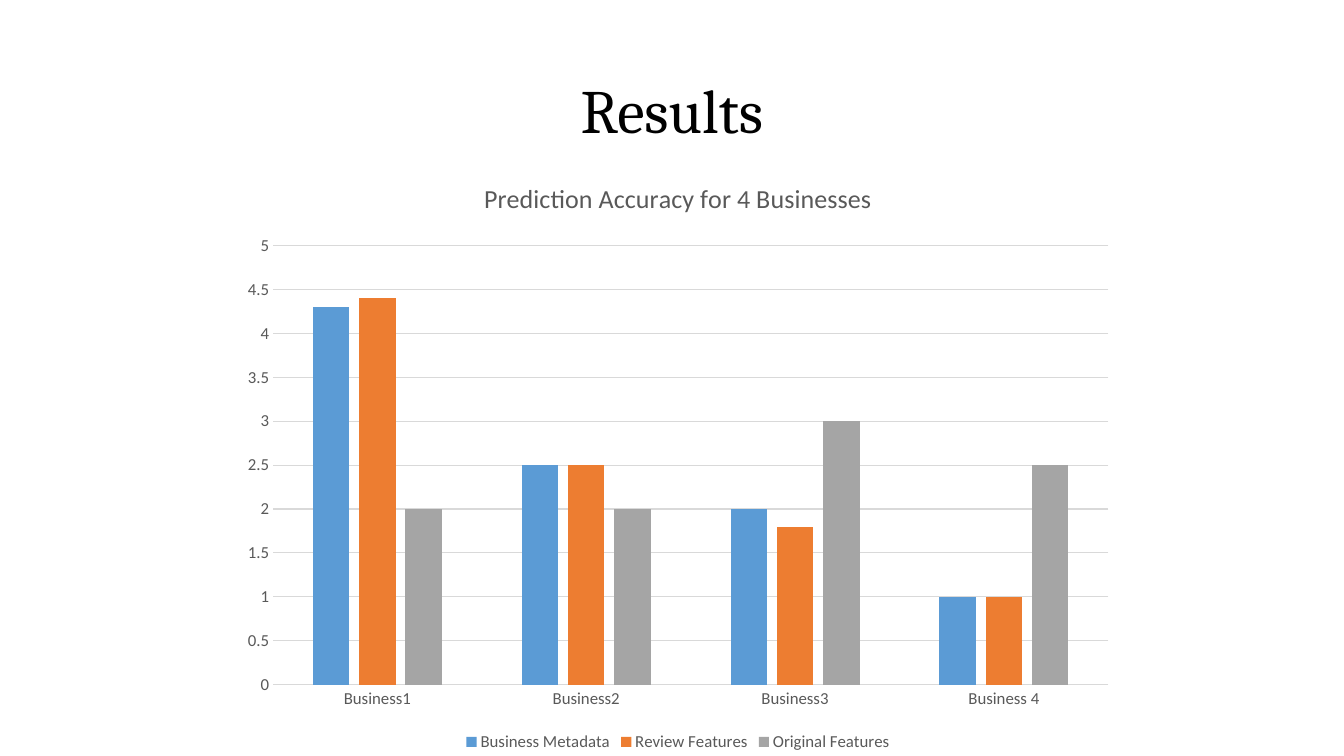
import pptx
import pptx.chart.data
import pptx.dml.color
import pptx.enum.chart
import pptx.enum.text
import pptx.util

# Theme
theme = {
    "title_font": "Cambria", "chart_font": "Calibri",
    "title_size": 44, "chart_title_size": 18.6, "label_size": 12,
    "title": "000000", "label": "595959", "line": "D9D9D9",
    "series": ["5B9BD5", "ED7D31", "A5A5A5"],
}


def style_font(font, name, size, color):
    font.name = name
    font.size = pptx.util.Pt(size)
    font.bold = False
    font.color.rgb = pptx.dml.color.RGBColor.from_string(color)


def style_line(line):
    line.color.rgb = pptx.dml.color.RGBColor.from_string(theme["line"])
    line.width = pptx.util.Pt(0.75)


# Blank page
deck = pptx.Presentation()
deck.slide_width = pptx.util.Inches(13.33)
deck.slide_height = pptx.util.Inches(7.5)
page = deck.slides.add_slide(deck.slide_layouts[6])
width, height = deck.slide_width, deck.slide_height

# Slide title
margin = int(width * 0.069)
box = page.shapes.add_textbox(margin, int(height * 0.053),
                              width - 2 * margin, int(height * 0.193))
frame = box.text_frame
frame.word_wrap = True
frame.vertical_anchor = pptx.enum.text.MSO_ANCHOR.MIDDLE
para = frame.paragraphs[0]
para.text = "Results"
para.alignment = pptx.enum.text.PP_ALIGN.CENTER
para.line_spacing = 0.9
style_font(para.font, theme["title_font"], theme["title_size"], theme["title"])

# Chart values
accuracy = pptx.chart.data.CategoryChartData()
accuracy.categories = ["Business1", "Business2", "Business3", "Business 4"]
accuracy.add_series("Business Metadata", [4.3, 2.5, 2, 1])
accuracy.add_series("Review Features", [4.4, 2.5, 1.8, 1])
accuracy.add_series("Original Features", [2, 2, 3, 2.5])

# Column chart, reaching the bottom edge
chart_top = int(height * 0.209)
chart = page.shapes.add_chart(
    pptx.enum.chart.XL_CHART_TYPE.COLUMN_CLUSTERED,
    int(width * 0.171), chart_top, int(width * 0.667), height - chart_top,
    accuracy).chart
style_font(chart.font, theme["chart_font"], theme["label_size"], theme["label"])

# Chart title
chart.has_title = True
heading = chart.chart_title.text_frame.paragraphs[0]
heading.text = "Prediction Accuracy for 4 Businesses"
style_font(heading.font, theme["chart_font"], theme["chart_title_size"], theme["label"])
chart.chart_title.include_in_layout = False

# Columns
plot = chart.plots[0]
plot.gap_width = 219
plot.overlap = -27
plot.vary_by_categories = False
for series, color in zip(plot.series, theme["series"]):
    series.format.fill.solid()
    series.format.fill.fore_color.rgb = pptx.dml.color.RGBColor.from_string(color)
    series.invert_if_negative = False

# Axes
for axis in (chart.category_axis, chart.value_axis):
    axis.major_tick_mark = pptx.enum.chart.XL_TICK_MARK.NONE
    axis.minor_tick_mark = pptx.enum.chart.XL_TICK_MARK.NONE
    style_font(axis.tick_labels.font, theme["chart_font"], theme["label_size"], theme["label"])
style_line(chart.category_axis.format.line)
values = chart.value_axis
values.minimum_scale, values.maximum_scale, values.major_unit = 0, 5, 0.5
values.format.line.fill.background()
values.has_major_gridlines = True
style_line(values.major_gridlines.format.line)

# Legend
chart.has_legend = True
chart.legend.position = pptx.enum.chart.XL_LEGEND_POSITION.BOTTOM
chart.legend.include_in_layout = False
style_font(chart.legend.font, theme["chart_font"], theme["label_size"], theme["label"])

deck.save("out.pptx")
